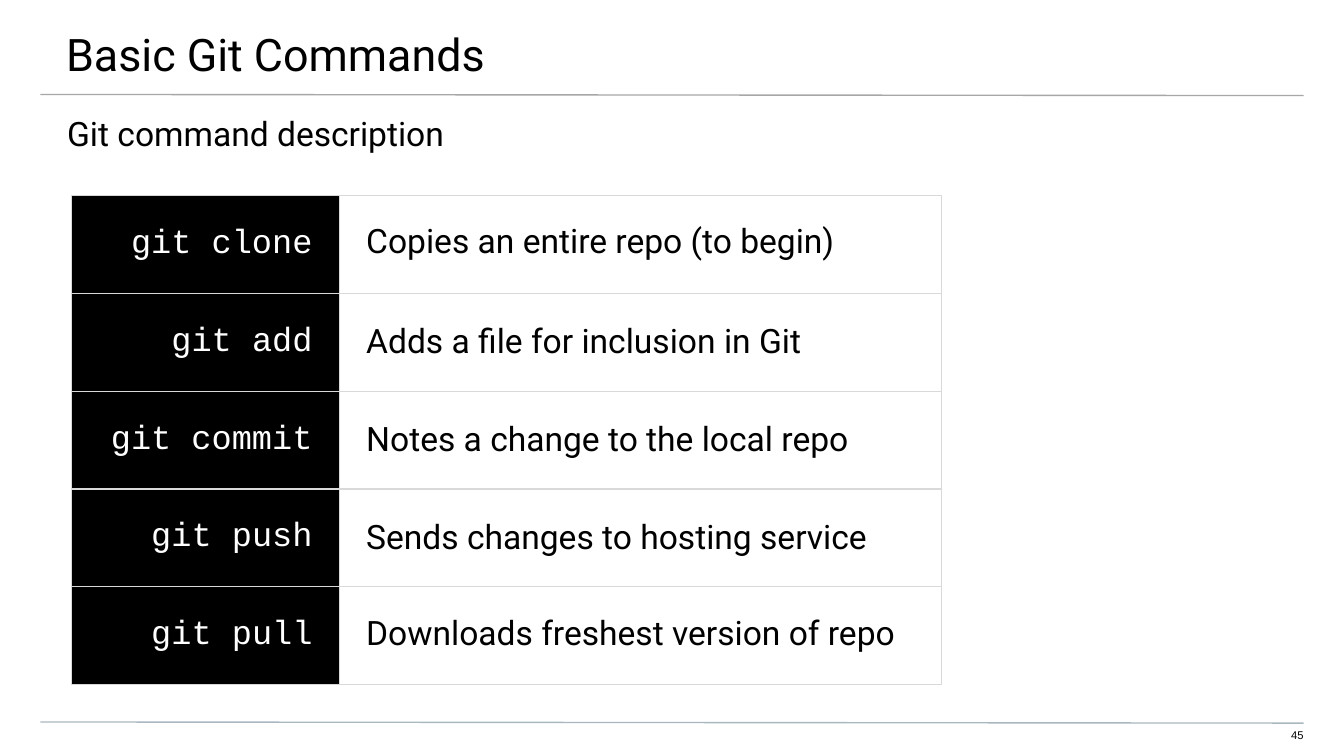
import pptx
import pptx.util
import pptx.dml.color
import pptx.enum.shapes
import pptx.enum.text
import pptx.oxml
import pptx.oxml.ns

Pt = pptx.util.Pt
ALIGN = pptx.enum.text.PP_ALIGN
ANCHOR = pptx.enum.text.MSO_ANCHOR

COLORS = {
    "black": "000000",
    "white": "FFFFFF",
    "border": "D9D9D9",
    "header_rule": "A7A7A7",
    "footer_rule": "A9B7C0",
}

COMMANDS = [
    ("git clone", "Copies an entire repo (to begin)", 0.8),
    ("git add", "Adds a file for inclusion in Git", None),
    ("git commit", "Notes a change to the local repo", None),
    ("git push", "Sends changes to hosting service", None),
    ("git pull", "Downloads freshest version of repo", 0.8),
]


def rgb(name):
    return pptx.dml.color.RGBColor.from_string(COLORS[name])


def write(tf, text, font="Roboto", size=18, color="black", align=ALIGN.LEFT, spacing=None):
    p = tf.paragraphs[0]
    p.alignment = align
    if spacing:
        p.line_spacing = spacing
    r = p.add_run()
    r.text = text
    r.font.name = font
    r.font.size = Pt(size)
    r.font.color.rgb = rgb(color)


def place(sp, left, top, width, height):
    sp.left, sp.top, sp.width, sp.height = Pt(left), Pt(top), Pt(width), Pt(height)


def set_frame(tf, left, top, right, bottom):
    tf.word_wrap = True
    tf.auto_size = pptx.enum.text.MSO_AUTO_SIZE.NONE
    tf.vertical_anchor = ANCHOR.TOP
    tf.margin_left, tf.margin_top = Pt(left), Pt(top)
    tf.margin_right, tf.margin_bottom = Pt(right), Pt(bottom)


def add_title(s, text):
    sp = s.shapes.title
    place(sp, -0.6, 0, 722, 42)
    set_frame(sp.text_frame, 36, 14.4, 21.6, 7.2)
    write(sp.text_frame, text, size=24)


def add_text(s, box, insets, text, **style):
    sp = s.shapes.add_textbox(*map(Pt, box))
    set_frame(sp.text_frame, *insets)
    write(sp.text_frame, text, **style)


def add_rule(s, y, color):
    line = s.shapes.add_connector(
        pptx.enum.shapes.MSO_CONNECTOR.STRAIGHT, Pt(21.6), Pt(y), Pt(698.4), Pt(y + 0.6))
    line.line.color.rgb = rgb(color)
    line.line.width = Pt(0.75)
    line._element.spPr.append(pptx.oxml.parse_xml(
        f"<a:effectLst {pptx.oxml.ns.nsdecls('a')}/>"))


def add_borders(cell):
    tcPr = cell._tc.get_or_add_tcPr()
    for i, side in enumerate(("lnL", "lnR", "lnT", "lnB")):
        tcPr.insert(i, pptx.oxml.parse_xml(
            f'<a:{side} {pptx.oxml.ns.nsdecls("a")} w="{Pt(0.75)}"><a:solidFill>'
            f'<a:srgbClr val="{COLORS["border"]}"/></a:solidFill></a:{side}>'))


def fill_cell(cell, text, fill=None, **style):
    cell.vertical_anchor = ANCHOR.MIDDLE
    cell.margin_left = cell.margin_right = Pt(14.4)
    cell.margin_top = cell.margin_bottom = 0
    if fill:
        cell.fill.solid()
        cell.fill.fore_color.rgb = rgb(fill)
    else:
        cell.fill.background()
    add_borders(cell)
    write(cell.text_frame, text, **style)


def add_command_table(s, left, top, widths, row_height):
    table = s.shapes.add_table(
        len(COMMANDS), len(widths), Pt(left), Pt(top),
        Pt(sum(widths)), Pt(row_height * len(COMMANDS))).table
    table.first_row = table.horz_banding = False
    for column, width in zip(table.columns, widths):
        column.width = Pt(width)
    for i, (command, description, spacing) in enumerate(COMMANDS):
        table.rows[i].height = Pt(row_height)
        fill_cell(table.cell(i, 0), command, fill="black",
                  font="Courier New", color="white", align=ALIGN.RIGHT)
        fill_cell(table.cell(i, 1), description, spacing=spacing)


def main():
    prs = pptx.Presentation()
    prs.slide_width, prs.slide_height = Pt(720), Pt(405)
    s = prs.slides.add_slide(prs.slide_layouts[5])
    add_text(s, (677.5, 390.2, 20.9, 8.6), (0, 0, 0, 7.2), "45",
             font="Arial", size=6, align=ALIGN.RIGHT)
    add_rule(s, 50.6, "header_rule")
    add_rule(s, 386.8, "footer_rule")
    add_title(s, "Basic Git Commands")
    add_text(s, (0, 53.5, 720, 28.8), (36, 7.2, 36, 0), "Git command description")
    add_command_table(s, 38.4, 104.8, (143.4, 322.6), 52.4)
    prs.save("out.pptx")


if __name__ == "__main__":
    main()
